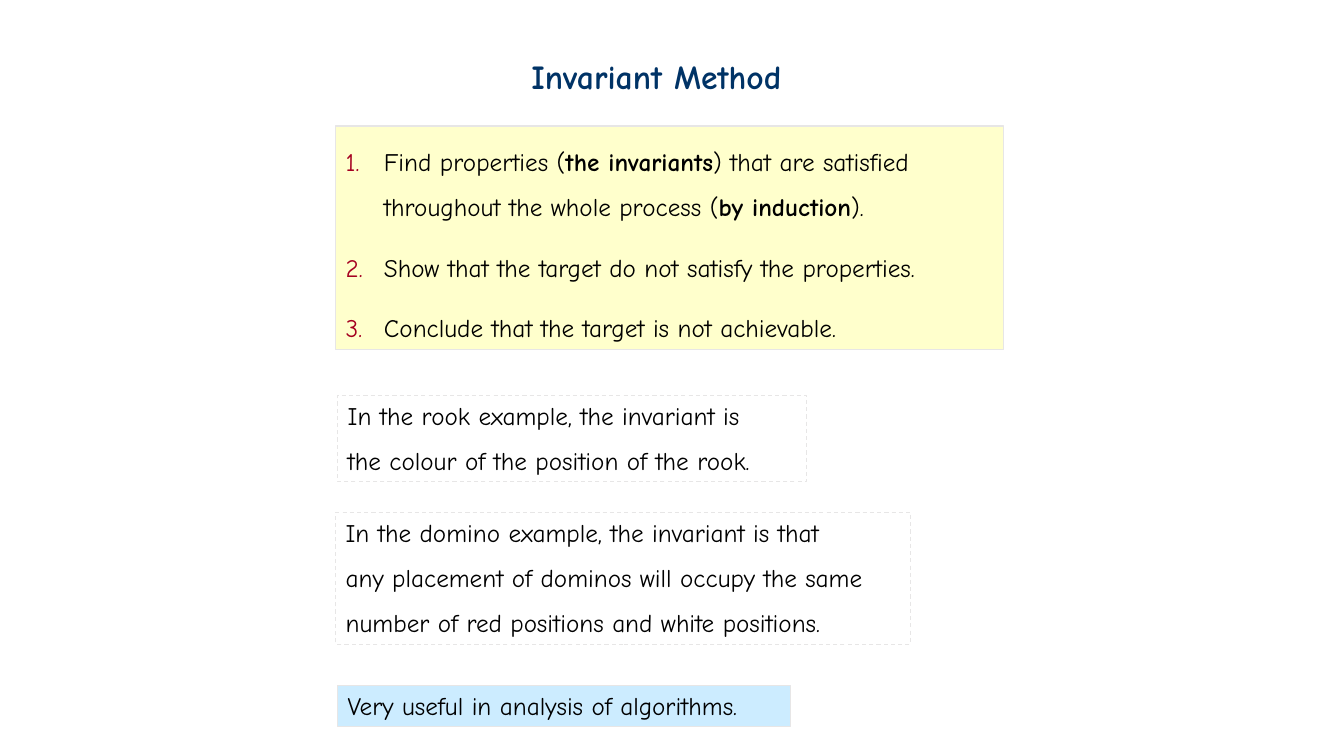
from lxml import etree
from pptx import Presentation
from pptx.dml.color import RGBColor
from pptx.enum.dml import MSO_LINE
from pptx.enum.shapes import MSO_SHAPE
from pptx.enum.text import MSO_ANCHOR, PP_ALIGN
from pptx.oxml.ns import qn
from pptx.util import Inches, Pt

RECTANGLE = MSO_SHAPE.RECTANGLE
DASH = MSO_LINE.DASH
TOP = MSO_ANCHOR.TOP
LEFT = PP_ALIGN.LEFT

TITLE = "Invariant Method"
TITLE_PLACE = (5.17, 0.5, 3.02, 0.5)

STEPS = [
    [("Find properties (", False), ("the invariants", True),
     (") that are satisfied throughout the whole process (", False),
     ("by induction", True), (").", False)],
    [("Show that the target do not satisfy the properties.", False)],
    [("Conclude that the target is not achievable.", False)],
]
ROOK = [
    [("In the rook example, the invariant is", False)],
    [("the colour of the position of the rook.", False)],
]
DOMINO = [
    [("In the domino example, the invariant is that", False)],
    [("any placement of dominos will occupy the same", False)],
    [("number of red positions and white positions.", False)],
]
USE = [[("Very useful in analysis of algorithms.", False)]]

THEME = {
    "font": "Comic Neue",
    "title_size": Pt(24),
    "body_size": Pt(18),
    "step_gap": Pt(21.6),
    "title": "003366",
    "text": "000000",
    "number": "A50021",
    "line": "E7E6E6",
    "yellow": "FFFFCC",
    "blue": "CCECFF",
}

BOXES = [
    {"place": (3.33, 1.25, 6.62, 2.22), "lines": STEPS, "fill": "yellow", "numbered": True},
    {"place": (3.35, 3.92, 4.65, 0.86), "lines": ROOK},
    {"place": (3.33, 5.08, 5.7, 1.31), "lines": DOMINO},
    {"place": (3.35, 6.8, 4.49, 0.41), "lines": USE, "fill": "blue"},
]


def color(name):
    return RGBColor.from_string(THEME[name])


def style_font(font, size, color_name):
    font.name = THEME["font"]
    font.size = THEME[size]
    font.color.rgb = color(color_name)


def add_number(para):
    properties = para._p.get_or_add_pPr()
    properties.set("marL", str(Inches(0.38)))
    properties.set("indent", str(-Inches(0.38)))
    bullet_color = etree.SubElement(properties, qn("a:buClr"))
    etree.SubElement(bullet_color, qn("a:srgbClr"), val=THEME["number"])
    etree.SubElement(properties, qn("a:buFont"), typeface="+mj-lt")
    etree.SubElement(properties, qn("a:buAutoNum"), type="arabicPeriod")


def add_title(page):
    title = page.shapes.title
    title.left, title.top, title.width, title.height = map(Inches, TITLE_PLACE)
    frame = title.text_frame
    frame.text = TITLE
    frame.vertical_anchor = TOP
    para = frame.paragraphs[0]
    para.alignment = LEFT
    para.line_spacing = 1.0
    style_font(para.font, "title_size", "title")
    para.font.bold = True


def add_box(page, place, lines, fill=None, numbered=False):
    box = page.shapes.add_shape(RECTANGLE, *map(Inches, place))
    box.shadow.inherit = False
    box.line.color.rgb = color("line")
    box.line.width = Pt(0.75)
    if fill:
        box.fill.solid()
        box.fill.fore_color.rgb = color(fill)
    else:
        box.fill.background()
        box.line.dash_style = DASH
    frame = box.text_frame
    frame.word_wrap = True
    frame.vertical_anchor = TOP
    for index, spans in enumerate(lines):
        para = frame.paragraphs[0] if index == 0 else frame.add_paragraph()
        if numbered:
            add_number(para)
        para.alignment = LEFT
        if numbered:
            para.line_spacing = 1.5 if index == 0 else 1.0
            if index:
                para.space_before = THEME["step_gap"]
        else:
            para.line_spacing = 1.0 if index == 0 else 1.5
        style_font(para.font, "body_size", "text")
        for text, bold in spans:
            span = para.add_run()
            span.text = text
            if bold:
                span.font.bold = True


def main():
    deck = Presentation()
    deck.slide_width, deck.slide_height = Inches(13.33), Inches(7.5)
    page = deck.slides.add_slide(deck.slide_layouts[5])
    add_title(page)
    for box in BOXES:
        add_box(page, **box)
    deck.save("out.pptx")


if __name__ == "__main__":
    main()
